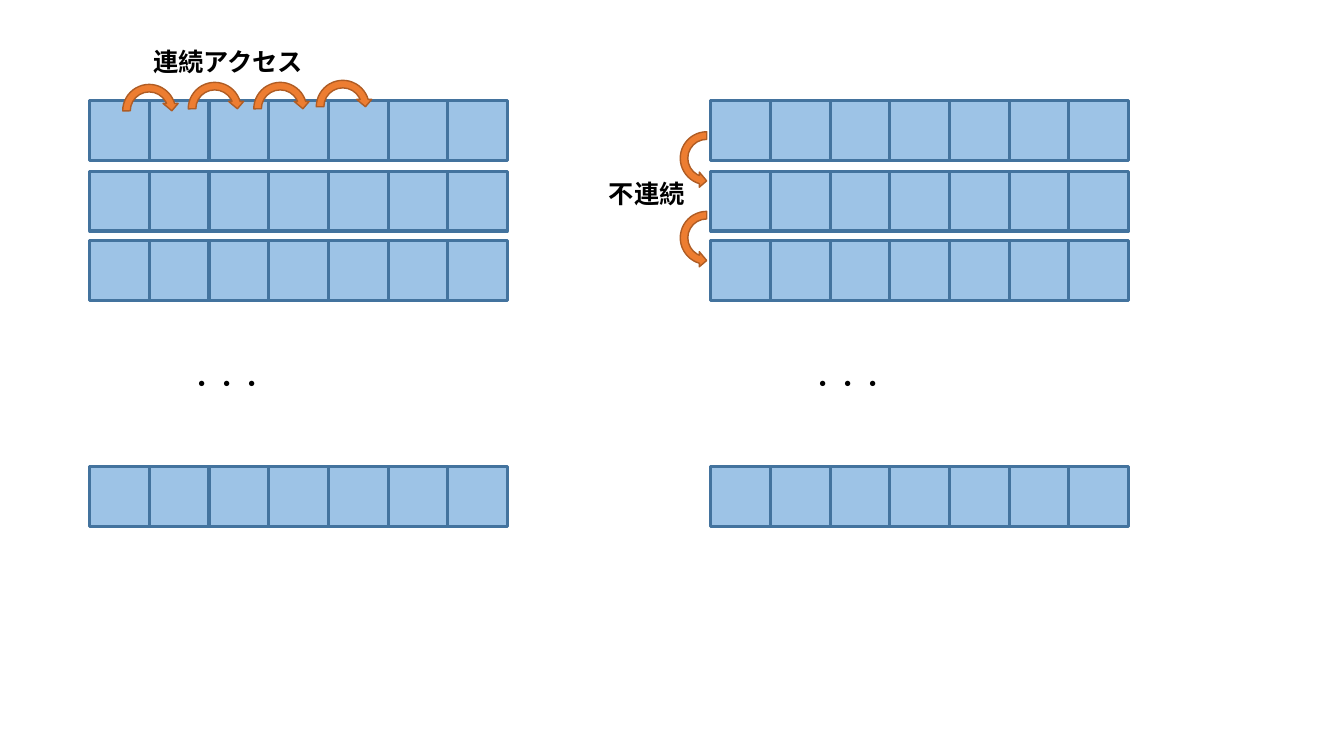
import pptx
import pptx.dml.color
import pptx.enum.shapes
import pptx.enum.text
import pptx.oxml.ns
import pptx.util
from pptx.util import Inches

FONT = "Noto Sans CJK JP"
COLUMNS = 7
CELL = 0.592
ROW_TOPS = (0, 0.7, 1.39, 3.63)
ARROW = 0.6


def color(hex_value):
    """Return the colour for a hex string."""
    return pptx.dml.color.RGBColor.from_string(hex_value)


def add_filled(group, kind, left, top, size, fill, line, weight):
    """Add a square preset shape with a fill and an outline."""
    shape = group.shapes.add_shape(
        kind, Inches(left), Inches(top), Inches(size), Inches(size))
    shape.shadow.inherit = False
    shape.fill.solid()
    shape.fill.fore_color.rgb = color(fill)
    shape.line.color.rgb = color(line)
    shape.line.width = pptx.util.Pt(weight)
    return shape


def add_label(group, left, top, width, text, bold=False, wrap=False):
    """Add a one-line label."""
    label = group.shapes.add_textbox(
        Inches(left), Inches(top), Inches(width), Inches(0.4))
    frame = label.text_frame
    frame.word_wrap = wrap
    frame.auto_size = pptx.enum.text.MSO_AUTO_SIZE.SHAPE_TO_FIT_TEXT
    run = frame.paragraphs[0].add_run()
    run.text = text
    run.font.name = FONT
    run.font.size = pptx.util.Pt(18)
    run.font.bold = bold
    run.font.color.rgb = color("000000")
    east_asian = pptx.oxml.parse_xml(
        f'<a:ea {pptx.oxml.ns.nsdecls("a")} typeface="{FONT}"/>')
    run.font._element.find(pptx.oxml.ns.qn("a:latin")).addnext(east_asian)


def add_memory_grid(group, left, top):
    """Draw the rows of cells and the ellipsis between the last two."""
    for row_top in ROW_TOPS:
        for column in range(COLUMNS):
            add_filled(group, pptx.enum.shapes.MSO_SHAPE.RECTANGLE,
                       left + column * CELL, top + row_top, CELL,
                       "9DC3E6", "43739E", 2.25)
    add_label(group, left + 0.89, top + 2.6, 1.18, "・・・", wrap=True)


def add_hop(group, left, top, downward=False):
    """Draw one curved arrow, going right or down to the next cell."""
    hop = add_filled(group, pptx.enum.shapes.MSO_SHAPE.CIRCULAR_ARROW,
                     left, top, ARROW, "ED7D31", "AF5C24", 1)
    if downward:
        hop.rotation = 270
        hop._element.spPr.find(pptx.oxml.ns.qn("a:xfrm")).set("flipH", "1")


def add_sequential_access(slide, left, top):
    """Draw the grid that is read along its first row."""
    group = slide.shapes.add_group_shape()
    add_memory_grid(group, left, top)
    for across, rise in ((0.29, 0.2), (0.94, 0.22), (1.59, 0.22), (2.21, 0.24)):
        add_hop(group, left + across, top - rise)
    add_label(group, left + 0.53, top - 0.59, 1.72, "連続アクセス", bold=True)


def add_strided_access(slide, left, top):
    """Draw the grid that is read down its first column."""
    group = slide.shapes.add_group_shape()
    add_memory_grid(group, left, top)
    for drop in (0.27, 1.06):
        add_hop(group, left - 0.34, top + drop, downward=True)
    add_label(group, left - 1.11, top + 0.72, 0.96, "不連続", bold=True)


def main():
    """Build and save the slide."""
    deck = pptx.Presentation()
    deck.slide_width = Inches(13.33)
    deck.slide_height = Inches(7.5)
    slide = deck.slides.add_slide(deck.slide_layouts[6])
    add_sequential_access(slide, 0.89, 1)
    add_strided_access(slide, 7.05, 1)
    deck.save("out.pptx")


if __name__ == "__main__":
    main()
